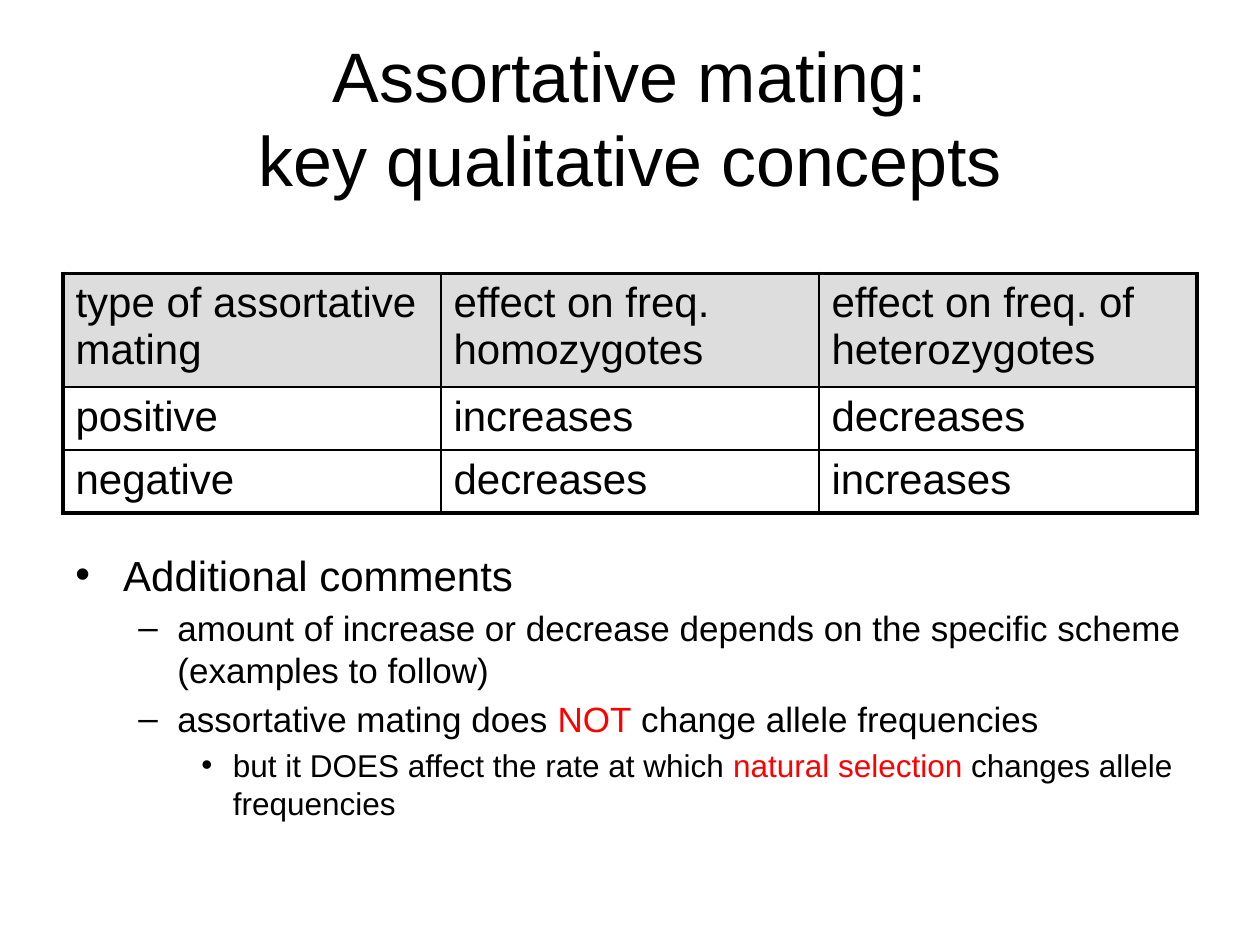
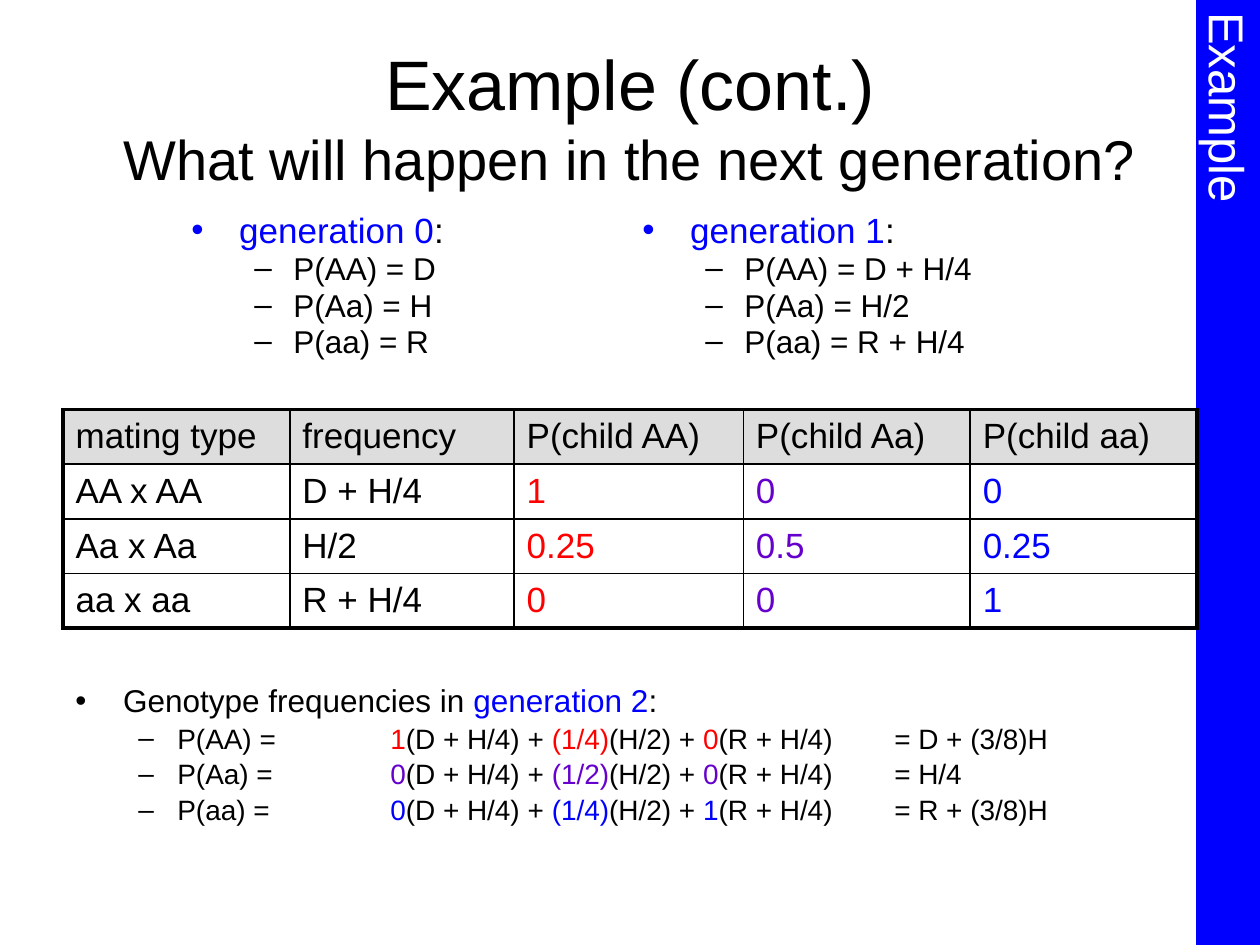
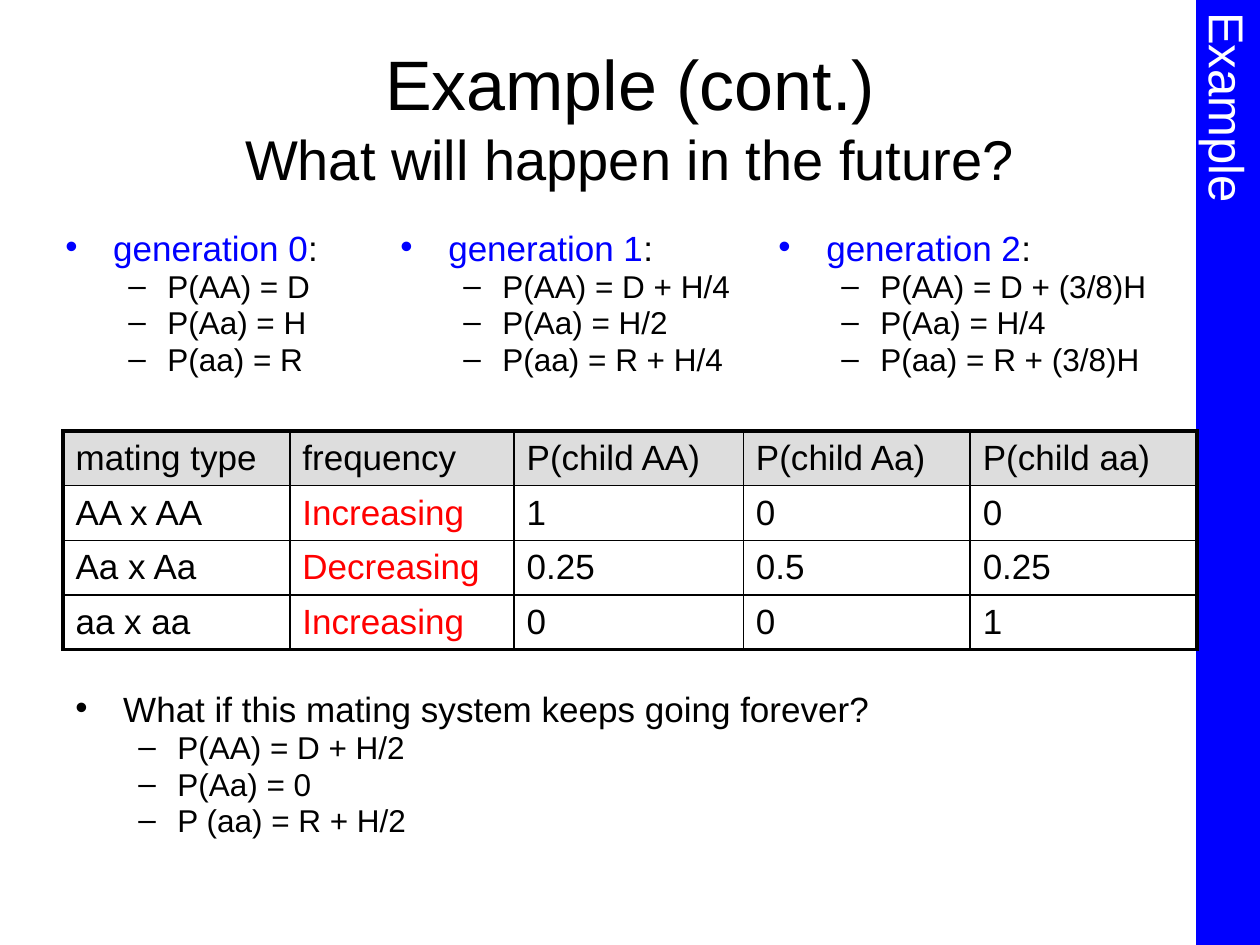
from dataclasses import dataclass
from typing import NamedTuple, Optional

from lxml.etree import SubElement
from pptx import Presentation
from pptx.dml.color import RGBColor
from pptx.enum.shapes import MSO_SHAPE as Preset
from pptx.enum.text import MSO_ANCHOR as Anchor, PP_ALIGN as Align
from pptx.oxml.ns import qn
from pptx.util import Emu, Inches, Pt

# Shared look
FONT = "Arial"
BLACK, WHITE, GREY = "000000", "FFFFFF", "DDDDDD"
RED, PURPLE, BLUE = "FF0000", "6600CC", "0000FF"
TITLE_SIZE, SUBTITLE_SIZE, BAR_SIZE = 40, 32, 28
THICK, THIN = 2.25, 1


class Area(NamedTuple):
    """A place on the slide, in percent of its width and height."""
    left: float
    top: float
    width: float
    height: float


class Span(NamedTuple):
    text: str
    colour: str = BLACK


class Level(NamedTuple):
    """Bullet and indents, in inches, of one outline level."""
    bullet: str
    margin: float
    hanging: float


class Line(NamedTuple):
    level: int
    spans: list[Span]


@dataclass
class Outline:
    area: Area
    sizes: tuple[int, ...]  # one text size for each level
    lines: list[Line]
    spacing: Optional[float] = None


@dataclass
class Grid:
    area: Area
    columns: tuple[float, ...]  # relative widths
    rows: tuple[float, ...]  # relative heights
    size: int
    anchor: Anchor
    cells: list[list[Span]]


LEVELS = (Level("•", 0.38, 0.38), Level("–", 0.81, 0.31), Level("•", 1.25, 0.25))
TITLE_AREA = Area(5, 4, 90, 16.67)
BAR_AREA = Area(95, 0, 5, 100)

deck = Presentation()
deck.slide_width, deck.slide_height = Inches(10), Inches(7.5)


def rgb(colour: str) -> RGBColor:
    return RGBColor.from_string(colour)


def place(area: Area) -> tuple[Emu, ...]:
    sides = (deck.slide_width, deck.slide_height) * 2
    return tuple(Emu(round(share * side / 100)) for share, side in zip(area, sides))


def add_span(para, span: Span, size: float) -> None:
    run = para.add_run()
    run.text = span.text
    run.font.name, run.font.size = FONT, Pt(size)
    run.font.color.rgb = rgb(span.colour)


def space_before(para) -> None:
    """Put a fifth of a line above the paragraph."""
    before = SubElement(para._p.get_or_add_pPr(), qn("a:spcBef"))
    SubElement(before, qn("a:spcPct"), val="20000")


def add_box(page, area: Area):
    frame = page.shapes.add_textbox(*place(area)).text_frame
    frame.word_wrap = True
    return frame


def add_page(title: str, subtitle: str, subtitle_size: int, bar: str = ""):
    page = deck.slides.add_slide(deck.slide_layouts[6])
    if bar:
        add_bar(page, bar)
    frame = add_box(page, TITLE_AREA)
    frame.vertical_anchor = Anchor.MIDDLE
    para = frame.paragraphs[0]
    para.alignment = Align.CENTER
    add_span(para, Span(title), TITLE_SIZE)
    para.add_line_break()
    add_span(para, Span(subtitle), subtitle_size)
    return page


def add_bar(page, label: str) -> None:
    """Draw the section bar at the right edge, with vertical text."""
    bar = page.shapes.add_shape(Preset.RECTANGLE, *place(BAR_AREA))
    bar.shadow.inherit = False
    bar.fill.solid()
    bar.fill.fore_color.rgb = bar.line.color.rgb = rgb(BLUE)
    bar.line.width = Pt(THIN)
    frame = bar.text_frame
    frame.word_wrap = False
    frame.vertical_anchor = Anchor.MIDDLE
    frame._txBody.bodyPr.set("vert", "eaVert")
    frame.paragraphs[0].alignment = Align.CENTER
    add_span(frame.paragraphs[0], Span(label, WHITE), BAR_SIZE)


def add_outline(page, outline: Outline) -> None:
    frame = add_box(page, outline.area)
    for index, line in enumerate(outline.lines):
        para = frame.add_paragraph() if index else frame.paragraphs[0]
        level = LEVELS[line.level]
        para.level = line.level
        if outline.spacing:
            para.line_spacing = outline.spacing
        space_before(para)
        props = para._p.get_or_add_pPr()
        props.set("marL", str(Inches(level.margin)))
        props.set("indent", str(-Inches(level.hanging)))
        SubElement(props, qn("a:buFont"), typeface=FONT)
        SubElement(props, qn("a:buChar"), char=level.bullet)
        for span in line.spans:
            add_span(para, span, outline.sizes[line.level])


def add_borders(cell, widths: dict[str, float]) -> None:
    props = cell._tc.get_or_add_tcPr()
    for side, width in widths.items():
        border = SubElement(props, qn(f"a:ln{side}"), w=str(Pt(width)))
        fill = SubElement(border, qn("a:solidFill"))
        SubElement(fill, qn("a:srgbClr"), val=BLACK)


def add_grid(page, grid: Grid) -> None:
    """Draw a table with a grey header, thick frame and thin inner lines."""
    columns, rows = len(grid.columns), len(grid.rows)
    left, top, width, height = place(grid.area)
    table = page.shapes.add_table(rows, columns, left, top, width, height).table
    table.first_row = table.horz_banding = False
    for column, share in zip(table.columns, grid.columns):
        column.width = Emu(round(width * share / sum(grid.columns)))
    for row, share in zip(table.rows, grid.rows):
        row.height = Emu(round(height * share / sum(grid.rows)))
    for r, spans in enumerate(grid.cells):
        for c, span in enumerate(spans):
            cell = table.cell(r, c)
            outer = {"L": c == 0, "R": c == columns - 1, "T": r == 0, "B": r == rows - 1}
            add_borders(cell, {side: THICK if edge else THIN for side, edge in outer.items()})
            if r == 0:
                cell.fill.solid()
                cell.fill.fore_color.rgb = rgb(GREY)
            else:
                cell.fill.background()
            cell.vertical_anchor = grid.anchor
            para = cell.text_frame.paragraphs[0]
            space_before(para)
            add_span(para, span, grid.size)


# Parts that the two example slides share
def add_generations(page, top: float, lefts: dict[int, float]) -> None:
    for number, left in lefts.items():
        heading = Line(0, [Span(f"generation {number}", BLUE), Span(":")])
        add_outline(page, Outline(Area(left, top, 33.3 if number == 2 else 30, 19.2),
                                  (20, 18), [heading, *frequencies(GENERATIONS[number])], 0.8))


def frequencies(values: tuple[str, ...]) -> list[Line]:
    return [Line(1, [Span(f"P({genotype}) = {value}")])
            for genotype, value in zip(GENOTYPES, values)]


def add_matings(page, top: float, frequency: list[Span], colours: tuple[str, ...]) -> None:
    header = ["mating type", "frequency", *(f"P(child {g})" for g in GENOTYPES)]
    cells = [[Span(text) for text in header]]
    for genotype, share, chances in zip(GENOTYPES, frequency, CHANCES):
        cells.append([Span(f"{genotype} x {genotype}"), share,
                      *(Span(chance, colour) for chance, colour in zip(chances, colours))])
    add_grid(page, Grid(Area(5, top, 90, 23.07), (1.8, 1.78, 1.82, 1.8, 1.8),
                        (1,) * 4, 20, Anchor.MIDDLE, cells))


def sum_line(genotype: str, weights: tuple[str, ...], colour: str, total: str) -> Line:
    """Write a weighted sum of the generation 1 frequencies."""
    terms = ("(D + H/4) + ", "(H/2) + ", f"(R + H/4)\t= {total}")
    spans = [Span(f"P({genotype}) = \t\t")]
    for weight, term in zip(weights, terms):
        spans += [Span(weight, colour), Span(term)]
    return Line(1, spans)


GENOTYPES = ("AA", "Aa", "aa")
GENERATIONS = (("D", "H", "R"),
               ("D + H/4", "H/2", "R + H/4"),
               ("D + (3/8)H", "H/4", "R + (3/8)H"))
CHANCES = (("1", "0", "0"), ("0.25", "0.5", "0.25"), ("0", "0", "1"))
WEIGHTS = (("1", "(1/4)", "0"), ("0", "(1/2)", "0"), ("0", "(1/4)", "1"))
CHILD_COLOURS = (RED, PURPLE, BLUE)

# Slide 1: key concepts
page = add_page("Assortative mating:", "key qualitative concepts", TITLE_SIZE)
add_outline(page, Outline(Area(5, 57.47, 90, 31.87), (24, 20, 18), [
    Line(0, [Span("Additional comments")]),
    Line(1, [Span("amount of increase or decrease depends on the specific scheme "
                  "(examples to follow)")]),
    Line(1, [Span("assortative mating does "), Span("NOT", RED),
             Span(" change allele frequencies")]),
    Line(2, [Span("but it DOES affect the rate at which "), Span("natural selection", RED),
             Span(" changes allele frequencies")]),
]))
effects = (("type of assortative mating", "effect on freq. homozygotes",
            "effect on freq. of heterozygotes"),
           ("positive", "increases", "decreases"),
           ("negative", "decreases", "increases"))
add_grid(page, Grid(Area(5, 28.93, 90, 25.33), (1, 1, 1), (0.9, 0.5, 0.5), 24, Anchor.TOP,
                    [[Span(text) for text in row] for row in effects]))

# Slide 2: next generation
page = add_page("Example (cont.)", "What will happen in the next generation?",
                SUBTITLE_SIZE, "Example")
add_outline(page, Outline(Area(5, 71.87, 90, 19.2), (18, 16), [
    Line(0, [Span("Genotype frequencies in "), Span("generation 2", BLUE), Span(":")]),
    *map(sum_line, GENOTYPES, WEIGHTS, CHILD_COLOURS, GENERATIONS[2]),
], 0.9))
add_matings(page, 43.33, [Span(value) for value in GENERATIONS[1]], CHILD_COLOURS)
add_generations(page, 22.27, {1: 50, 0: 14.2})

# Slide 3: long run
page = add_page("Example (cont.)", "What will happen in the future?", SUBTITLE_SIZE, "Example")
add_outline(page, Outline(Area(5, 72.93, 90, 18.13), (20, 18), [
    Line(0, [Span("What if this mating system keeps going forever?")]),
    *frequencies(("D + H/2", "0")),
    Line(1, [Span("P (aa) = R + H/2")]),
], 0.8))
trends = ("Increasing", "Decreasing", "Increasing")
add_matings(page, 45.6, [Span(trend, RED) for trend in trends], (BLACK,) * 3)
add_generations(page, 24.13, {1: 30.8, 0: 4.2, 2: 60.8})

deck.save("out.pptx")
